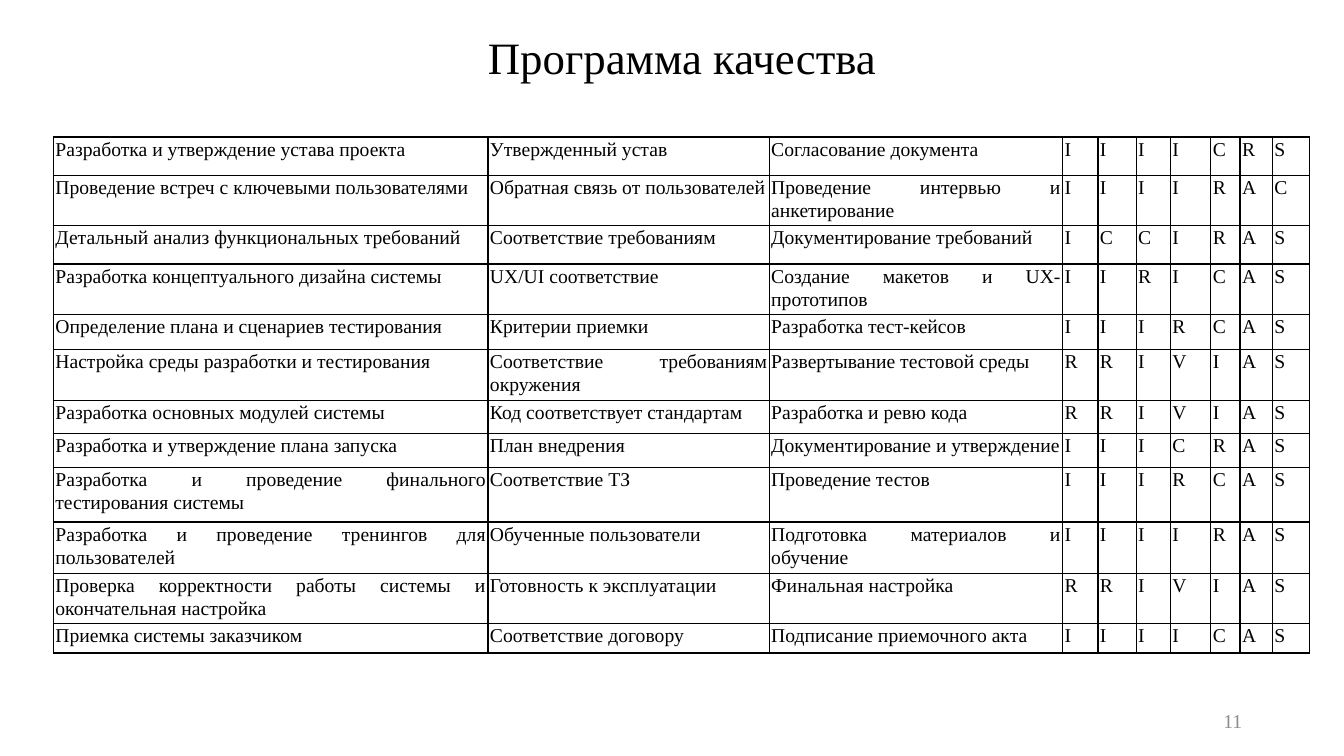
from pptx import Presentation
from pptx.dml.color import RGBColor
from pptx.enum.text import MSO_ANCHOR, PP_ALIGN
from pptx.oxml import parse_xml
from pptx.oxml.ns import nsdecls
from pptx.util import Inches, Pt

ACTIVITIES = [
    ("Разработка и утверждение устава проекта", "Утвержденный устав",
     "Согласование документа", "IIIICRS", 0.38),
    ("Проведение встреч с ключевыми пользователями", "Обратная связь от пользователей",
     "Проведение интервью и анкетирование", "IIIIRAC", 0.5),
    ("Детальный анализ функциональных требований", "Соответствие требованиям",
     "Документирование требований", "ICCIRAS", 0.38),
    ("Разработка концептуального дизайна системы", "UX/UI соответствие",
     "Создание макетов и UX-прототипов", "IIRICAS", 0.5),
    ("Определение плана и сценариев тестирования", "Критерии приемки",
     "Разработка тест-кейсов", "IIIRCAS", 0.35),
    ("Настройка среды разработки и тестирования", "Соответствие требованиям окружения",
     "Развертывание тестовой среды", "RRIVIAS", 0.5),
    ("Разработка основных модулей системы", "Код соответствует стандартам",
     "Разработка и ревю кода", "RRIVIAS", 0.33),
    ("Разработка и утверждение плана запуска", "План внедрения",
     "Документирование и утверждение", "IIICRAS", 0.34),
    ("Разработка и проведение финального тестирования системы", "Соответствие ТЗ",
     "Проведение тестов", "IIIRCAS", 0.54),
    ("Разработка и проведение тренингов для пользователей", "Обученные пользователи",
     "Подготовка материалов и обучение", "IIIIRAS", 0.51),
    ("Проверка корректности работы системы и окончательная настройка",
     "Готовность к эксплуатации", "Финальная настройка", "RRIVIAS", 0.5),
    ("Приемка системы заказчиком", "Соответствие договору",
     "Подписание приемочного акта", "IIIICAS", 0.29),
]
COLUMN_WIDTHS = [4.31, 2.79, 2.91, 0.35, 0.38, 0.34, 0.4, 0.29, 0.32, 0.37]


def write(tf, text, size=14, color="000000", align=PP_ALIGN.JUSTIFY, spacing=1.0):
    tf.word_wrap = True
    p = tf.paragraphs[0]
    p.alignment = align
    p.line_spacing = spacing
    r = p.add_run()
    r.text = text
    r.font.name = "Times New Roman"
    r.font.size = Pt(size)
    r.font.color.rgb = RGBColor.from_string(color)


def add_borders(cell, color="000000", width=1):
    for side in ("lnL", "lnR", "lnT", "lnB"):
        cell._tc.get_or_add_tcPr().append(parse_xml(
            f'<a:{side} {nsdecls("a")} w="{Pt(width)}"><a:solidFill>'
            f'<a:srgbClr val="{color}"/></a:solidFill></a:{side}>'))


prs = Presentation()
prs.slide_width, prs.slide_height = Inches(13.33), Inches(7.5)
s = prs.slides.add_slide(prs.slide_layouts[5])

title = s.shapes.title
title.left, title.top = Inches(1.19), Inches(0.24)
title.width, title.height = Inches(11.15), Inches(0.64)
title.text_frame.vertical_anchor = MSO_ANCHOR.MIDDLE
write(title.text_frame, "Программа качества", size=32, align=PP_ALIGN.CENTER)

table = s.shapes.add_table(
    len(ACTIVITIES), len(COLUMN_WIDTHS), Inches(0.53), Inches(1.36),
    Inches(sum(COLUMN_WIDTHS)), Inches(sum(a[-1] for a in ACTIVITIES))).table
table.first_row = table.horz_banding = False
for column, width in zip(table.columns, COLUMN_WIDTHS):
    column.width = Inches(width)

for row, (activity, criterion, method, roles, height) in zip(table.rows, ACTIVITIES):
    row.height = Inches(height)
    for cell, text in zip(row.cells, [activity, criterion, method, *roles]):
        cell.margin_left = cell.margin_right = Inches(0.02)
        cell.margin_top = cell.margin_bottom = 0
        add_borders(cell)
        cell.fill.background()
        write(cell.text_frame, text, spacing=1.07)

number = s.shapes.add_textbox(Inches(9.42), Inches(6.95), Inches(3), Inches(0.4))
number.text_frame.vertical_anchor = MSO_ANCHOR.MIDDLE
write(number.text_frame, "11", color="8C8C8C", align=PP_ALIGN.RIGHT)

prs.save("out.pptx")
